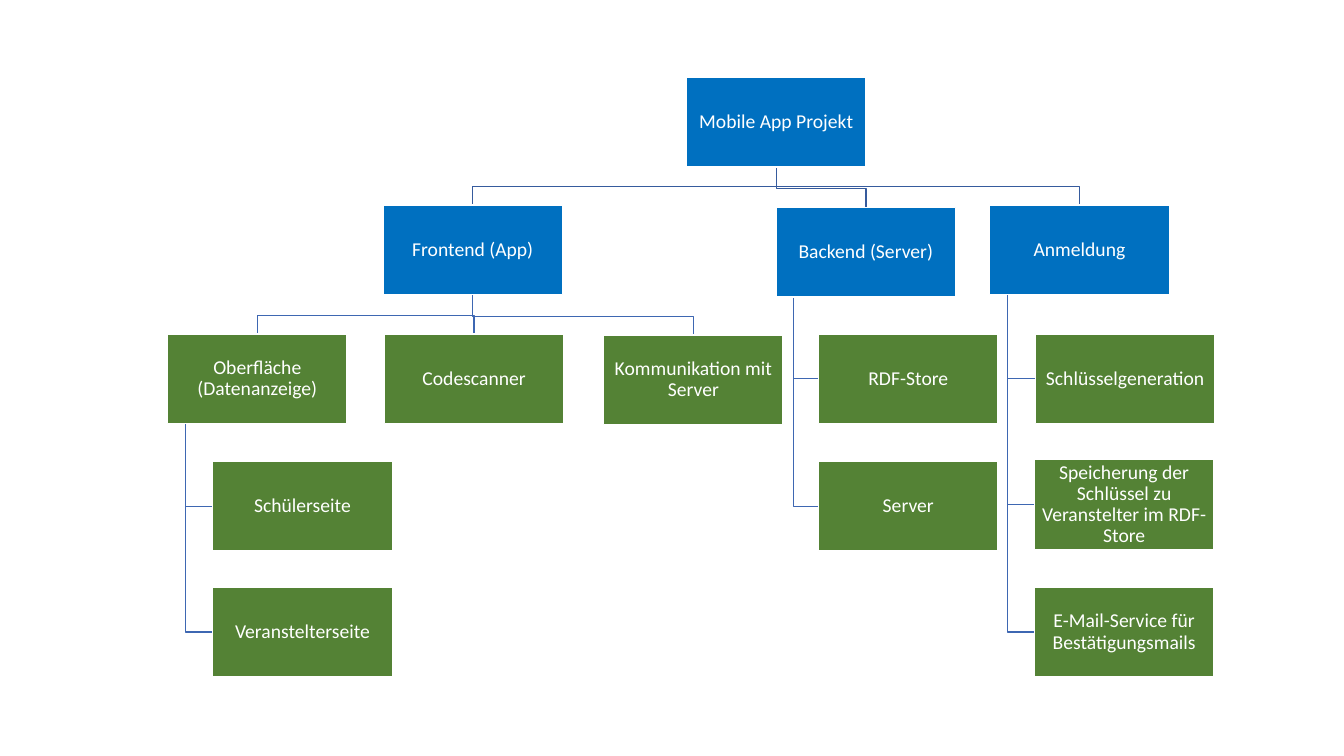
import dataclasses

import pptx
import pptx.dml.color
import pptx.enum.shapes
import pptx.enum.text
import pptx.util

Pt = pptx.util.Pt
RGBColor = pptx.dml.color.RGBColor

BLUE = RGBColor(0x00, 0x70, 0xC0)
GREEN = RGBColor(0x54, 0x82, 0x35)
WHITE = RGBColor(0xFF, 0xFF, 0xFF)
LINE_TOP = RGBColor(0x36, 0x5B, 0x9D)
LINE_SUB = RGBColor(0x3E, 0x67, 0xB2)

BOX_W, BOX_H = 128.2, 64.1
BUS_GAP = 13.3      # from a horizontal branch down to the child box
STEM = 12.6         # from a box's left edge to its hanging stem
INSET = 0.7


@dataclasses.dataclass
class Box:
    """One box of the chart: place, colour and the boxes below it."""
    text: str
    x: float
    y: float
    fill: RGBColor = GREEN
    children: tuple = ()
    hanging: bool = False
    line: RGBColor = LINE_SUB


FRONTEND = Box("Frontend (App)", 273.6, 146.3, BLUE, (
    Box("Oberfläche (Datenanzeige)", 119.7, 238.5, hanging=True, children=(
        Box("Schülerseite", 152, 329.6),
        Box("Veranstelterseite", 152, 419.4),
    )),
    Box("Codescanner", 274.6, 238.5),
    Box("Kommunikation mit Server", 431.2, 239.3),
))
BACKEND = Box("Backend (Server)", 554.4, 148, BLUE, hanging=True, children=(
    Box("RDF-Store", 584.7, 238.5),
    Box("Server", 584.7, 329.6),
))
ANMELDUNG = Box("Anmeldung", 707, 146.3, BLUE, hanging=True, children=(
    Box("Schlüsselgeneration", 739.6, 238.5),
    Box("Speicherung der Schlüssel zu Veranstelter im RDF-Store", 738.9, 328.3),
    Box("E-Mail-Service für Bestätigungsmails", 738.9, 419.4),
))
PROJEKT = Box("Mobile App Projekt", 490.4, 55.2, BLUE,
              (FRONTEND, BACKEND, ANMELDUNG), line=LINE_TOP)


def add_polyline(s, points, color):
    """Draw an open, unfilled line through the points."""
    points = [(Pt(x), Pt(y)) for x, y in points]
    builder = s.shapes.build_freeform(*points[0])
    builder.add_line_segments(points[1:], close=False)
    sp = builder.convert_to_shape()
    sp.shadow.inherit = False
    sp.fill.background()
    sp.line.color.rgb = color
    sp.line.width = Pt(1)


def add_branch(s, parent, child):
    """Join a box to one child, from a side stem or a centred branch."""
    bottom = parent.y + BOX_H
    if parent.hanging:
        x, mid = parent.x + STEM, child.y + BOX_H / 2
        points = [(x, bottom), (x, mid), (child.x, mid)]
    else:
        x, end = parent.x + BOX_W / 2, child.x + BOX_W / 2
        bus = child.y - BUS_GAP
        points = [(x, bottom), (x, bus), (end, bus), (end, child.y)]
    add_polyline(s, points, parent.line)


def add_box(s, box):
    """Draw a filled box with its centred label."""
    sp = s.shapes.add_shape(pptx.enum.shapes.MSO_SHAPE.RECTANGLE,
                            Pt(box.x), Pt(box.y), Pt(BOX_W), Pt(BOX_H))
    sp.shadow.inherit = False
    sp.fill.solid()
    sp.fill.fore_color.rgb = box.fill
    sp.line.color.rgb = WHITE
    sp.line.width = Pt(1)
    tf = sp.text_frame
    tf.word_wrap = True
    tf.vertical_anchor = pptx.enum.text.MSO_ANCHOR.MIDDLE
    tf.margin_left = tf.margin_right = Pt(INSET)
    tf.margin_top = tf.margin_bottom = Pt(INSET)
    p = tf.paragraphs[0]
    p.alignment = pptx.enum.text.PP_ALIGN.CENTER
    p.line_spacing = 0.9
    r = p.add_run()
    r.text = box.text
    r.font.name = "Calibri"
    r.font.size = Pt(14)
    r.font.color.rgb = WHITE


def walk(box):
    """Yield a box and all boxes below it."""
    yield box
    for child in box.children:
        yield from walk(child)


def main():
    """Build the project chart, branches behind boxes."""
    prs = pptx.Presentation()
    prs.slide_width, prs.slide_height = Pt(960), Pt(540)
    s = prs.slides.add_slide(prs.slide_layouts.get_by_name("Blank"))
    boxes = list(walk(PROJEKT))
    for box in boxes:
        for child in box.children:
            add_branch(s, box, child)
    for box in boxes:
        add_box(s, box)
    prs.save("out.pptx")


main()
